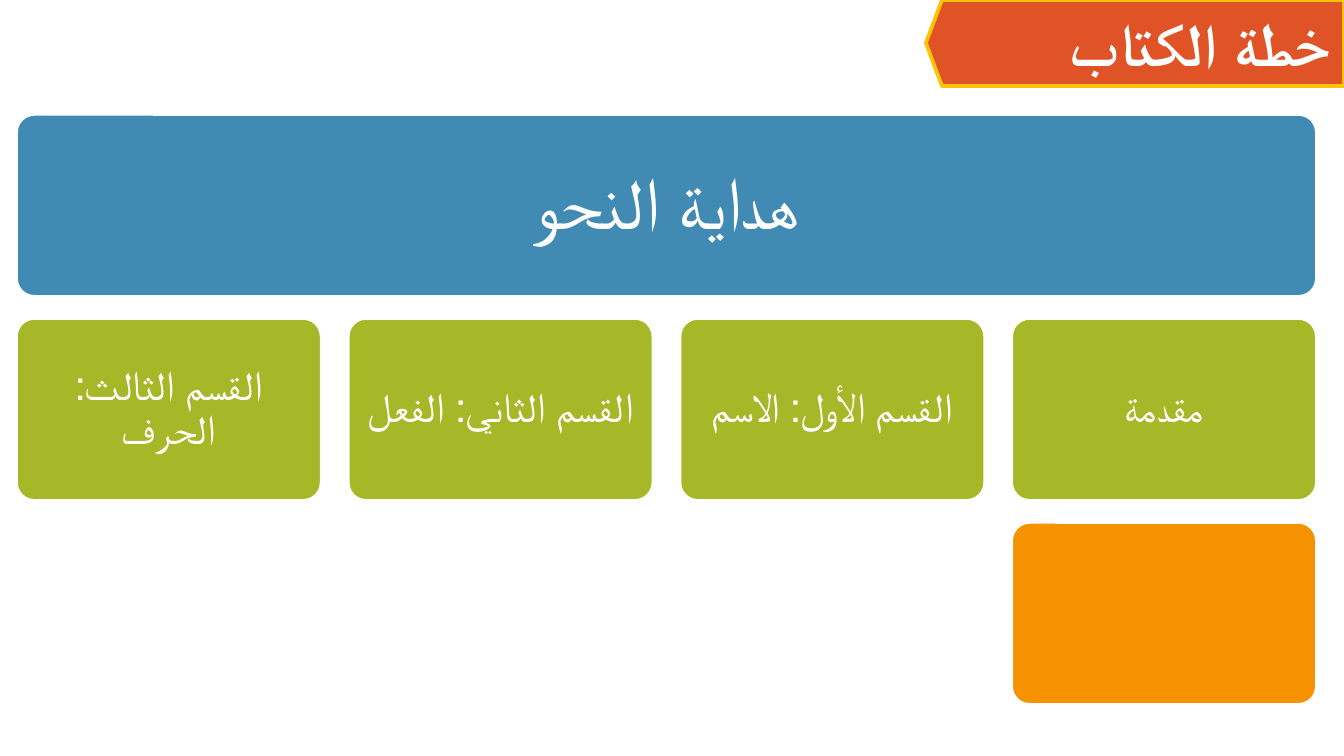
from pptx import Presentation
from pptx.dml.color import RGBColor
from pptx.enum.shapes import MSO_SHAPE
from pptx.enum.text import MSO_ANCHOR, PP_ALIGN
from pptx.util import Pt

ROUNDED, ARROW = MSO_SHAPE.ROUNDED_RECTANGLE, MSO_SHAPE.PENTAGON
MIDDLE, CENTER, RIGHT = MSO_ANCHOR.MIDDLE, PP_ALIGN.CENTER, PP_ALIGN.RIGHT

TITLE = "خطة الكتاب"
BLUE, GREEN, ORANGE, WHITE = "418AB3", "A6B727", "F69200", "FFFFFF"
BOOK = "هداية النحو"
SECTIONS = ["القسم الثالث: الحرف", "القسم الثاني: الفعل", "القسم الأول: الاسم", "مقدمة"]

SLIDE_W, SLIDE_H = 1344, 756
LEFT, TOP, WIDTH, ROW_H = 16, 114, 1301, 183
COL_GAP, ROW_GAP = 26, 21
BANNER = (926, 0, 418, 86)
COL_W = (WIDTH - COL_GAP * (len(SECTIONS) - 1)) / len(SECTIONS)


def px(n):
    return round(n * 914400 / 134.4)


def color(value):
    return RGBColor.from_string(value)


def add_box(kind, box, fill, line, adjust):
    sp = s.shapes.add_shape(kind, *map(px, box))
    sp.shadow.inherit = False
    sp.adjustments[0] = adjust
    sp.fill.solid()
    sp.fill.fore_color.rgb = color(fill)
    sp.line.color.rgb = color(line)
    sp.line.width = Pt(2)
    return sp


def write(sp, text, size, align, inset_x, inset_y, bold=False, spacing=1.0):
    tf = sp.text_frame
    frame = {"word_wrap": True, "vertical_anchor": MIDDLE,
             "margin_left": px(inset_x), "margin_right": px(inset_x),
             "margin_top": px(inset_y), "margin_bottom": px(inset_y)}
    for name, value in frame.items():
        setattr(tf, name, value)
    p = tf.paragraphs[0]
    p.alignment, p.line_spacing = align, spacing
    p._p.get_or_add_pPr().set("rtl", "1")
    r = p.add_run()
    r.text = text
    for name, value in {"size": Pt(size), "name": "Calibri", "bold": bold}.items():
        setattr(r.font, name, value)
    r.font.color.rgb = color(WHITE)


def add_card(column, row, width, fill, text="", size=22, inset=12):
    box = (LEFT + column * (COL_W + COL_GAP), TOP + row * (ROW_H + ROW_GAP), width, ROW_H)
    card = add_box(ROUNDED, box, fill, WHITE, 0.1)
    if text:
        write(card, text, size, CENTER, inset, inset, spacing=0.9)


prs = Presentation()
prs.slide_width, prs.slide_height = px(SLIDE_W), px(SLIDE_H)
s = prs.slides.add_slide(prs.slide_layouts[5])

banner = add_box(ARROW, BANNER, "DF5327", "FEC306", 0.187)
banner._element.spPr.xfrm.set("flipH", "1")

title = s.shapes.title
title.left, title.top, title.width, title.height = map(px, BANNER)
write(title, TITLE, 32, RIGHT, 13, 7, bold=True)
s.shapes._spTree.append(title._element)

add_card(0, 0, WIDTH, BLUE, BOOK, size=39, inset=22)
for column, section in enumerate(SECTIONS):
    add_card(column, 1, COL_W, GREEN, section)
add_card(len(SECTIONS) - 1, 2, COL_W, ORANGE)

prs.save("out.pptx")
